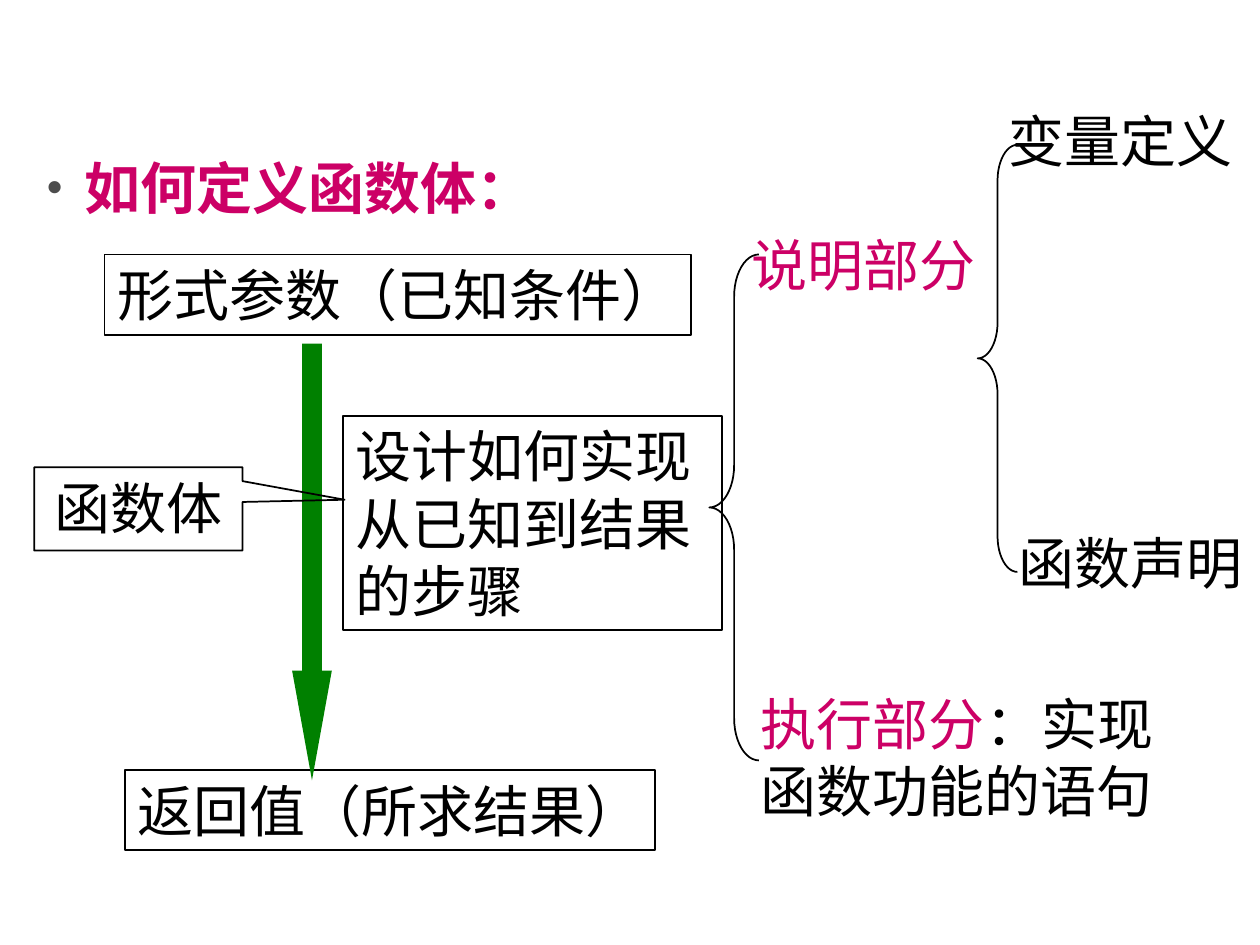
from lxml import etree
from pptx import Presentation
from pptx.dml.color import RGBColor
from pptx.enum.shapes import MSO_SHAPE
from pptx.enum.text import MSO_ANCHOR, MSO_AUTO_SIZE, PP_ALIGN
from pptx.oxml.ns import qn
from pptx.util import Cm, Pt

RECT = MSO_SHAPE.RECTANGLE
CALLOUT = MSO_SHAPE.RECTANGULAR_CALLOUT
ARROW = MSO_SHAPE.DOWN_ARROW
BRACE = MSO_SHAPE.LEFT_BRACE
TOP = MSO_ANCHOR.TOP
GROW, FIXED = MSO_AUTO_SIZE.SHAPE_TO_FIT_TEXT, MSO_AUTO_SIZE.NONE
LEFT, CENTER, JUSTIFY = PP_ALIGN.LEFT, PP_ALIGN.CENTER, PP_ALIGN.JUSTIFY

COLORS = {"ink": "000000", "key": "CC0066", "arrow": "008000", "dot": "4D4D4D"}
FONT, SIZE = "Times New Roman", 32


def color(name):
    return RGBColor.from_string(COLORS[name])


def write(shape, runs, wrap=True, fit=GROW, align=LEFT, bold=False):
    """Fill a shape with one paragraph of (text, color) runs."""
    frame = shape.text_frame
    frame.word_wrap, frame.auto_size = wrap, fit
    frame.vertical_anchor = TOP
    para = frame.paragraphs[0]
    para.alignment = align
    para.space_before = Pt(0)
    for text, name in runs:
        run = para.add_run()
        run.text = text
        font = run.font
        font.name, font.size, font.bold = FONT, Pt(SIZE), bold
        font.color.rgb = color(name)
    return para


def draw(slide, kind, box, adjust=(), fill=None):
    """Add a preset shape: filled without a line, or outlined."""
    shape = slide.shapes.add_shape(kind, *map(Cm, box))
    shape.shadow.inherit = False
    for i, value in enumerate(adjust):
        shape.adjustments[i] = value
    if fill:
        shape.fill.solid()
        shape.fill.fore_color.rgb = color(fill)
        shape.line.fill.background()
    else:
        shape.fill.background()
        shape.line.color.rgb = color("ink")
        shape.line.width = Pt(1)
    return shape


def label(slide, box, runs, wrap=True):
    write(slide.shapes.add_textbox(*map(Cm, box)), runs, wrap)


def bullet(para):
    props = para._p.get_or_add_pPr()
    props.set("marL", str(Cm(0.75)))
    props.set("indent", str(Cm(-0.75)))
    tint = etree.SubElement(props, qn("a:buClr"))
    etree.SubElement(tint, qn("a:srgbClr"), val=COLORS["dot"])
    etree.SubElement(props, qn("a:buSzPct"), val="80000")
    etree.SubElement(props, qn("a:buChar"), char="•")


def heading(slide):
    body = slide.placeholders[1]
    body.left, body.top, body.width, body.height = map(
        Cm, (0.69, 2.97, 23.39, 14.53))
    runs = [("如何定义函数体：", "key")]
    bullet(write(body, runs, fit=FIXED, align=JUSTIFY, bold=True))


def main():
    prs = Presentation()
    prs.slide_width, prs.slide_height = Cm(25.4), Cm(19.05)
    slide = prs.slides.add_slide(prs.slide_layouts[1])
    title = slide.shapes.title._element
    title.getparent().remove(title)
    heading(slide)

    # Known input and wanted result; no right inset keeps each on one line
    for box, text in (
        ((2.11, 5.13, 11.82, 1.62), "形式参数（已知条件）"),
        ((2.52, 15.52, 10.68, 1.62), "返回值（所求结果）"),
    ):
        rect = draw(slide, RECT, box)
        rect.text_frame.margin_right = 0
        write(rect, [(text, "ink")], fit=FIXED)

    # Function body between the two
    draw(slide, ARROW, (5.89, 6.93, 0.8, 8.8), (0.5, 2.76), "arrow")
    steps = draw(slide, RECT, (6.91, 8.38, 7.65, 4.32))
    write(steps, [("设计如何实现从已知到结果的步骤", "ink")])
    call = draw(slide, CALLOUT, (0.69, 9.42, 4.2, 1.68), (0.99, -0.11))
    write(call, [("函数体", "ink")], fit=FIXED, align=CENTER)

    # Two parts of the body
    label(slide, (14.91, 4.52, 5.21, 1.62), [("说明部分", "key")])
    label(slide, (15.09, 13.77, 9.4, 2.97),
          [("执行部分", "key"), ("：实现函数功能的语句", "ink")])
    draw(slide, BRACE, (14.3, 5.13, 1, 10.2), (0.85, 0.5))

    # Contents of the declaration part
    draw(slide, BRACE, (19.71, 2.92, 0.8, 8.61), (0.9, 0.5))
    for left, top, text in ((20.09, 2.03, "变量定义"), (20.29, 10.52, "函数声明")):
        label(slide, (left, top, 5.03, 1.62), [(text, "ink")], wrap=False)

    prs.save("out.pptx")


if __name__ == "__main__":
    main()
